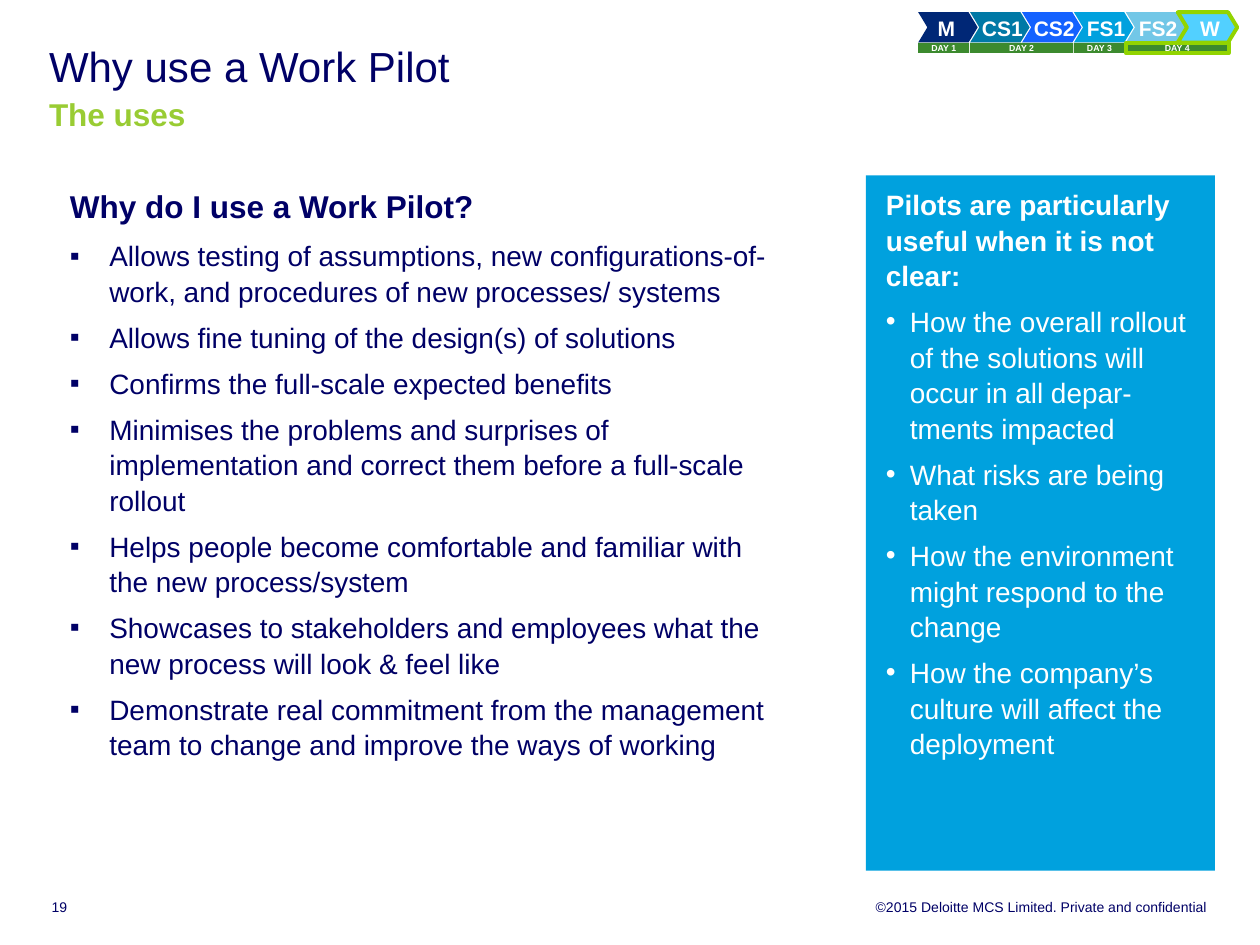
from lxml import etree
from pptx import Presentation
from pptx.dml.color import RGBColor
from pptx.enum.shapes import MSO_SHAPE
from pptx.enum.text import MSO_ANCHOR, MSO_AUTO_SIZE, PP_ALIGN
from pptx.oxml.ns import qn
from pptx.util import Pt

CHEVRON, RECT = MSO_SHAPE.CHEVRON, MSO_SHAPE.RECTANGLE
TOP, MIDDLE, BOTTOM = MSO_ANCHOR.TOP, MSO_ANCHOR.MIDDLE, MSO_ANCHOR.BOTTOM
LEFT, CENTER, RIGHT = PP_ALIGN.LEFT, PP_ALIGN.CENTER, PP_ALIGN.RIGHT
FIXED = MSO_AUTO_SIZE.NONE

WHITE = RGBColor(0xFF, 0xFF, 0xFF)
INK = RGBColor(0x00, 0x00, 0x66)
LIME = RGBColor(0x99, 0xCC, 0x33)
GLOW = RGBColor(0x92, 0xD4, 0x00)
GREEN = RGBColor(0x3C, 0x8A, 0x2E)
SKY = RGBColor(0x00, 0xA1, 0xDE)

STEPS = [
    ("M", RGBColor(0x00, 0x27, 0x76)),
    ("CS1", RGBColor(0x00, 0x79, 0xA6)),
    ("CS2", RGBColor(0x14, 0x62, 0xFF)),
    ("FS1", SKY),
    ("FS2", RGBColor(0x72, 0xC7, 0xE7)),
    ("W", RGBColor(0x52, 0xD0, 0xFF)),
]
DAYS = [("DAY 1", 0, 1), ("DAY 2", 1, 2), ("DAY 3", 3, 1), ("DAY 4", 4, 2)]
USES = [
    "Allows testing of assumptions, new configurations-of-work, and procedures of new processes/ systems",
    "Allows fine tuning of the design(s) of solutions",
    "Confirms the full-scale expected benefits",
    "Minimises the problems and surprises of implementation and correct them before a full-scale rollout",
    "Helps people become comfortable and familiar with the new process/system",
    "Showcases to stakeholders and employees what the new process will look & feel like",
    "Demonstrate real commitment from the management team to change and improve the ways of working",
]
DOUBTS = [
    "How the overall rollout of the solutions will occur in all depar-tments impacted",
    "What risks are being taken",
    "How the environment might respond to the change",
    "How the company’s culture will affect the deployment",
]


def apply(item, values):
    for name, value in values.items():
        setattr(item, name, value)


def place(shape, box):
    names = ("left", "top", "width", "height")
    apply(shape, dict(zip(names, map(Pt, box))))


def set_frame(shape, pad, anchor=TOP, wrap=True):
    frame = shape.text_frame
    sides = ("margin_left", "margin_top", "margin_right", "margin_bottom")
    apply(frame, dict(zip(sides, map(Pt, pad))))
    apply(frame, {"auto_size": FIXED, "word_wrap": wrap, "vertical_anchor": anchor})
    return frame


def add_run(para, text, size, color, bold=False):
    run = para.add_run()
    run.text = text
    apply(run.font, {"name": "Arial", "size": Pt(size), "bold": bold})
    run.font.color.rgb = color


def add_block(slide, kind, box, fill, edge=None):
    shape = slide.shapes.add_shape(kind, *map(Pt, box))
    shape.shadow.inherit = False
    shape.fill.solid()
    shape.fill.fore_color.rgb = fill
    if edge:
        shape.line.color.rgb = edge
        shape.line.width = Pt(2.25)
    else:
        shape.line.fill.background()
    return shape


def add_mark(para, mark, indent):
    props = para._p.get_or_add_pPr()
    props.set("marL", str(Pt(indent)))
    props.set("indent", str(Pt(-indent)))
    if mark:
        etree.SubElement(props, qn("a:buFont")).set("typeface", "Arial")
        etree.SubElement(props, qn("a:buChar")).set("char", mark)
    else:
        etree.SubElement(props, qn("a:buNone"))


def fill_list(frame, head, size, items, mark, indent, color):
    for i, text in enumerate([head] + items):
        para = frame.add_paragraph() if i else frame.paragraphs[0]
        add_mark(para, mark if i else None, indent if i else 0)
        high = 16 if i else size
        apply(para, {
            "level": 1 if i else 0,
            "alignment": LEFT,
            "line_spacing": 1.06,
            "space_before": Pt(0),
            "space_after": Pt(round(high * 0.37, 1)),
        })
        add_run(para, text, high, color, not i)


def draw_track(slide, box):
    left, top, width, height = box
    step = 29.66
    last = len(STEPS) - 1
    for i, (text, fill) in enumerate(STEPS):
        spot = (left + i * step, top, width - last * step, 17.3)
        shape = add_block(slide, CHEVRON, spot, fill, GLOW if i == last else None)
        shape.adjustments[0] = 0.303
        pad = (14.4, 4.3, 11.5, 4.3) if i else (5.8, 4.3, 0, 4.3)
        para = set_frame(shape, pad, MIDDLE, False).paragraphs[0]
        apply(para, {"alignment": CENTER if i else LEFT, "line_spacing": 1.1})
        add_run(para, text, 12, WHITE, True)
    for text, start, span in DAYS:
        spot = (left + start * step, top + height - 5.8, span * step - 0.5, 5.8)
        edge = GLOW if start + span > last else None
        shape = add_block(slide, RECT, spot, GREEN, edge)
        para = set_frame(shape, (2.9, 0, 2.9, 0)).paragraphs[0]
        para.alignment = CENTER
        add_run(para, text, 5, WHITE, True)


def draw_title(shape, box):
    place(shape, box)
    para = set_frame(shape, (0, 0, 0, 0)).paragraphs[0]
    apply(para, {"alignment": LEFT, "line_spacing": Pt(24), "space_before": Pt(0)})
    add_run(para, "Why use a Work Pilot", 24, INK)
    para.add_line_break()
    add_run(para, "The uses", 18, LIME, True)


def draw_uses(shape, box):
    place(shape, box)
    shape.fill.solid()
    shape.fill.fore_color.rgb = WHITE
    frame = set_frame(shape, (11.5, 5.8, 5.8, 5.8))
    fill_list(frame, "Why do I use a Work Pilot?", 18, USES, "▪", 22.5, INK)


def draw_panel(slide, box):
    shape = add_block(slide, RECT, box, SKY)
    frame = set_frame(shape, (11.5, 5.8, 11.5, 5.8))
    head = "Pilots are particularly useful when it is not clear:"
    fill_list(frame, head, 16, DOUBTS, "•", 13.7, WHITE)


def draw_note(slide, box, text, align, anchor):
    shape = slide.shapes.add_textbox(*map(Pt, box))
    para = set_frame(shape, (0, 0, 0, 0), anchor).paragraphs[0]
    para.alignment = align
    add_run(para, text, 8, INK)


def main():
    deck = Presentation()
    apply(deck, {"slide_width": Pt(720), "slide_height": Pt(540)})
    slide = deck.slides.add_slide(deck.slide_layouts[1])
    title, body = slide.placeholders
    draw_title(title, (28, 28, 661, 49))
    draw_uses(body, (28.5, 100, 416, 394))
    draw_panel(slide, (494.8, 100.2, 199.5, 397.3))
    draw_track(slide, (524.7, 7, 182.3, 23.3))
    draw_note(slide, (29.5, 513.4, 150, 9.4), "19", LEFT, BOTTOM)
    owner = "©2015 Deloitte MCS Limited. Private and confidential"
    draw_note(slide, (244.8, 513.4, 445.2, 9.4), owner, RIGHT, TOP)
    deck.save("out.pptx")


if __name__ == "__main__":
    main()
